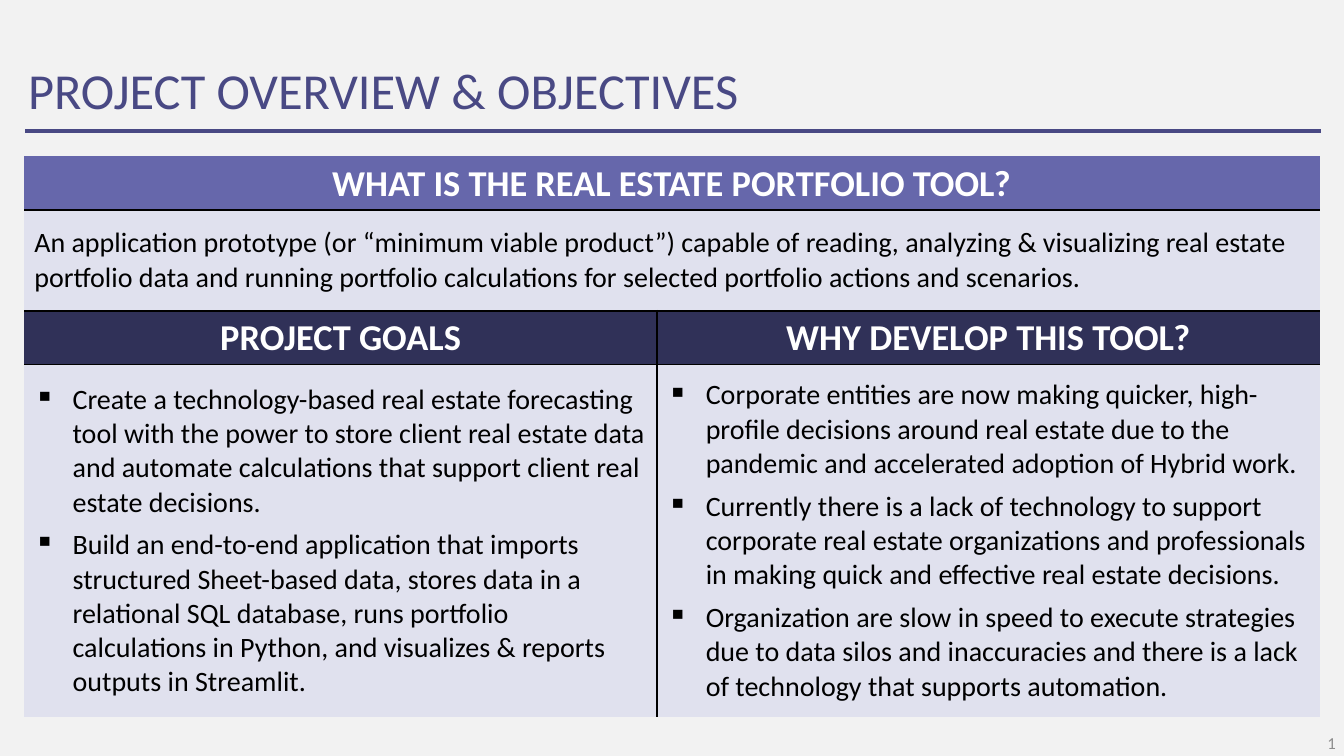
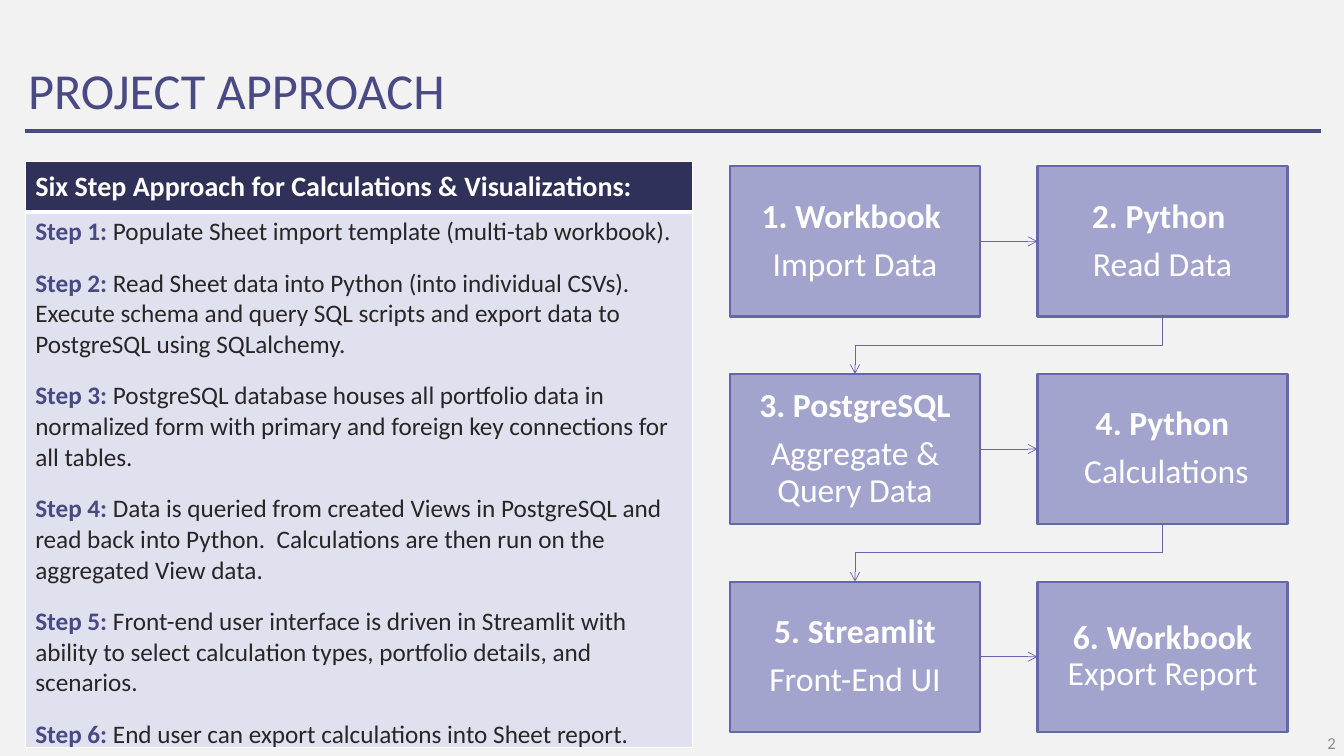
from dataclasses import dataclass

from lxml import etree
from pptx import Presentation
from pptx.dml.color import RGBColor
from pptx.enum.shapes import MSO_CONNECTOR, MSO_SHAPE
from pptx.enum.text import MSO_ANCHOR, PP_ALIGN
from pptx.oxml.ns import qn
from pptx.util import Inches, Pt

STRAIGHT, ELBOW = MSO_CONNECTOR.STRAIGHT, MSO_CONNECTOR.ELBOW
RECT = MSO_SHAPE.RECTANGLE
MIDDLE, TOP = MSO_ANCHOR.MIDDLE, MSO_ANCHOR.TOP
LEFT, CENTER, RIGHT = PP_ALIGN.LEFT, PP_ALIGN.CENTER, PP_ALIGN.RIGHT
SIDE_TOP, SIDE_LEFT, SIDE_BOTTOM, SIDE_RIGHT = range(4)


@dataclass(frozen=True)
class Look:
    size: int
    color: str
    bold: bool = False


@dataclass(frozen=True)
class Theme:
    font: str = "Calibri"
    back: str = "F2F2F2"
    ink: str = "494984"
    mid: str = "6667AB"
    dark: str = "303158"
    soft: str = "A3A4CD"
    pale: str = "E0E1EE"
    black: str = "000000"
    white: str = "FFFFFF"
    title: Look = Look(36, "494984")
    page: Look = Look(12, "8C8C8C")
    head: Look = Look(26, "FFFFFF", True)
    body: Look = Look(20, "000000")
    lead: Look = Look(20, "FFFFFF", True)
    step: Look = Look(18, "494984", True)
    note: Look = Look(18, "262626")
    name: Look = Look(24, "FFFFFF", True)
    work: Look = Look(24, "FFFFFF")


THEME = Theme()

ABOUT = (
    "An application prototype (or “minimum viable product”) capable of reading, "
    "analyzing & visualizing real estate portfolio data and running portfolio "
    "calculations for selected portfolio actions and scenarios."
)
GOALS = [
    "Create a technology-based real estate forecasting tool with the power to store "
    "client real estate data and automate calculations that support client real "
    "estate decisions.",
    "Build an end-to-end application that imports structured Sheet-based data, stores "
    "data in a relational SQL database, runs portfolio calculations in Python, and "
    "visualizes & reports outputs in Streamlit.",
]
REASONS = [
    "Corporate entities are now making quicker, high-profile decisions around real "
    "estate due to the pandemic and accelerated adoption of Hybrid work.",
    "Currently there is a lack of technology to support corporate real estate "
    "organizations and professionals in making quick and effective real estate "
    "decisions.",
    "Organization are slow in speed to execute strategies due to data silos and "
    "inaccuracies and there is a lack of technology that supports automation.",
]
STEPS = [
    "Populate Sheet import template (multi-tab workbook).",
    "Read Sheet data into Python (into individual CSVs). Execute schema and query SQL "
    "scripts and export data to PostgreSQL using SQLalchemy.",
    "PostgreSQL database houses all portfolio data in normalized form with primary "
    "and foreign key connections for all tables.",
    "Data is queried from created Views in PostgreSQL and read back into Python.  "
    "Calculations are then run on the aggregated View data.",
    "Front-end user interface is driven in Streamlit with ability to select "
    "calculation types, portfolio details, and scenarios.",
    "End user can export calculations into Sheet report.",
]
STAGES = [
    [("1. Workbook ",), ("Import Data",)],
    [("2. Python ",), ("Read Data",)],
    [("3. PostgreSQL",), ("Aggregate & Query Data",)],
    [("4. Python",), (" Calculations",)],
    [("5. Streamlit",), ("Front-End UI",)],
    [("6. Workbook ", "Export Report")],
]


def rgb(color):
    return RGBColor.from_string(color)


def paint(run, look):
    font = run.font
    font.name, font.size, font.bold = THEME.font, Pt(look.size), look.bold
    font.color.rgb = rgb(look.color)


def write(frame, lines, looks, align=LEFT):
    """Each line is a tuple of runs; looks holds one look per run."""
    frame.text = "\n".join(line[0] for line in lines)
    for para, line in zip(frame.paragraphs, lines):
        para.alignment = align
        for more in line[1:]:
            para.add_run().text = more
        for run, look in zip(para.runs, looks):
            paint(run, look)


def label(slide, box, text, look, align=LEFT, pad=0.1):
    frame = slide.shapes.add_textbox(*map(Inches, box)).text_frame
    frame.word_wrap = True
    frame.vertical_anchor = MIDDLE
    frame.margin_left = frame.margin_right = Inches(pad)
    frame.margin_top = frame.margin_bottom = 0
    write(frame, [(text,)], [look], align)
    return frame


def stroke(line, color, width):
    line.line.color.rgb = rgb(color)
    line.line.width = Pt(width)
    etree.SubElement(line._element.spPr, qn("a:effectLst"))


def base(deck, title, page):
    """Blank slide with title, rule and page number."""
    slide = deck.slides.add_slide(deck.slide_layouts[6])
    frame = label(slide, (0.18, 0.52, 10.79, 0.77), title, THEME.title)
    frame.paragraphs[0].line_spacing = Pt(40)
    ends = map(Inches, (0.25, 1.3, 13.1, 1.3))
    stroke(slide.shapes.add_connector(STRAIGHT, *ends), THEME.ink, 2.25)
    label(slide, (10.25, 7.24, 3, 0.26), str(page), THEME.page, RIGHT, 0)
    return slide


def edge(cell, **sides):
    """Draw the given sides (L, R, T, B) as (colour, width); hide the others."""
    props = cell._tc.get_or_add_tcPr()
    for side in "LRTB":
        line = etree.SubElement(props, qn("a:ln" + side))
        if side not in sides:
            etree.SubElement(line, qn("a:noFill"))
            continue
        color, width = sides[side]
        line.set("w", str(Pt(width)))
        solid = etree.SubElement(line, qn("a:solidFill"))
        etree.SubElement(solid, qn("a:srgbClr")).set("val", color)


def dress(cell, fill, anchor=MIDDLE, **sides):
    edge(cell, **sides)
    cell.fill.solid()
    cell.fill.fore_color.rgb = rgb(fill)
    cell.vertical_anchor = anchor


def bullet(para):
    para.space_before = Pt(6)
    props = para._p.get_or_add_pPr()
    props.set("marL", str(Inches(0.38)))
    props.set("indent", str(Inches(-0.38)))
    etree.SubElement(props, qn("a:buChar")).set("char", "▪")


def grid(slide, left, top, cols, rows):
    frame = slide.shapes.add_table(
        len(rows), len(cols), *map(Inches, (left, top, sum(cols), sum(rows)))
    )
    table = frame.table
    for col, width in zip(table.columns, cols):
        col.width = Inches(width)
    for row, height in zip(table.rows, rows):
        row.height = Inches(height)
    return table


def goals(slide, left, top):
    table = grid(slide, left, top, (6.28, 6.57), (0.53, 1, 0.53, 3.5))
    rule = (THEME.black, 1.5)
    wide = [
        ("WHAT IS THE REAL ESTATE PORTFOLIO TOOL?", THEME.head, CENTER, THEME.mid, {}),
        (ABOUT, THEME.body, LEFT, THEME.pale, {"T": rule}),
    ]
    for row, (text, look, align, fill, sides) in enumerate(wide):
        cell = table.cell(row, 0)
        cell.merge(table.cell(row, 1))
        write(cell.text_frame, [(text,)], [look], align)
        for part in (cell, table.cell(row, 1)):
            dress(part, fill, B=rule, **sides)
    halves = [("PROJECT GOALS", GOALS, "R"), ("WHY DEVELOP THIS TOOL?", REASONS, "L")]
    for col, (name, items, inner) in enumerate(halves):
        sides = {"T": rule, inner: rule}
        head, body = table.cell(2, col), table.cell(3, col)
        write(head.text_frame, [(name,)], [THEME.head], CENTER)
        dress(head, THEME.dark, B=rule, **sides)
        write(body.text_frame, [(item,) for item in items], [THEME.body])
        for para in body.text_frame.paragraphs:
            bullet(para)
        dress(body, THEME.pale, **sides)


def steps(slide, left, top):
    table = grid(slide, left, top, (6.62,), (0.5, 5.2))
    head, body = table.cell(0, 0), table.cell(1, 0)
    thin, thick = (THEME.white, 1), (THEME.white, 3)
    title = "Six Step Approach for Calculations & Visualizations:"
    write(head.text_frame, [(title,)], [THEME.lead])
    dress(head, THEME.dark, L=thin, R=thin, T=thin, B=thick)
    lines = [(f"Step {num}: ", text) for num, text in enumerate(STEPS, 1)]
    write(body.text_frame, lines, (THEME.step, THEME.note))
    for para in body.text_frame.paragraphs[1:]:
        para.space_before = Pt(14.65)
    dress(body, THEME.pale, TOP, L=thin, R=thin, T=thick, B=thin)


def stage(slide, box, lines):
    shape = slide.shapes.add_shape(RECT, *map(Inches, box))
    shape.shadow.inherit = False
    shape.fill.solid()
    shape.fill.fore_color.rgb = rgb(THEME.soft)
    shape.line.color.rgb = rgb(THEME.mid)
    shape.line.width = Pt(1.5)
    frame = shape.text_frame
    frame.word_wrap = True
    frame.vertical_anchor = MIDDLE
    frame.margin_left = frame.margin_right = Inches(0.19)
    frame.margin_top = frame.margin_bottom = Inches(0.19)
    write(frame, lines, (THEME.name, THEME.work), CENTER)
    for para in frame.paragraphs:
        para.line_spacing = 0.9
        para.space_after = Pt(8.4)
    for para in frame.paragraphs[1:]:
        paint(para.runs[0], THEME.work)
    return shape


def turn(link):
    """Turn an elbow so that it leaves downwards and arrives downwards."""
    wide, high = link.width, link.height
    mid_x, mid_y = link.left + wide // 2, link.top + high // 2
    link.left, link.top = mid_x - high // 2, mid_y - wide // 2
    link.width, link.height = high, wide
    form = link._element.spPr.find(qn("a:xfrm"))
    form.attrib.pop("flipH", None)
    form.set("rot", "5400000")


def join(slide, start, end, kind, out, into):
    link = slide.shapes.add_connector(kind, 0, 0, 0, 0)
    link.begin_connect(start, out)
    link.end_connect(end, into)
    if kind == ELBOW:
        turn(link)
    stroke(link, THEME.mid, 0.5)
    etree.SubElement(link.line._get_or_add_ln(), qn("a:tailEnd")).set("type", "arrow")


def flow(slide, left, top):
    wide, high, step_x, step_y = 2.48, 1.49, 3.05, 2.06
    boxes = []
    for num, lines in enumerate(STAGES):
        row, col = divmod(num, 2)
        box = (left + col * step_x, top + row * step_y, wide, high)
        boxes.append(stage(slide, box, lines))
    for num, (start, end) in enumerate(zip(boxes, boxes[1:])):
        if num % 2:
            join(slide, start, end, ELBOW, SIDE_BOTTOM, SIDE_TOP)
        else:
            join(slide, start, end, STRAIGHT, SIDE_RIGHT, SIDE_LEFT)


def main():
    deck = Presentation()
    deck.slide_width, deck.slide_height = Inches(13.33), Inches(7.5)
    back = deck.slide_master.background.fill
    back.solid()
    back.fore_color.rgb = rgb(THEME.back)

    goals(base(deck, "PROJECT OVERVIEW & OBJECTIVES", 1), 0.24, 1.55)
    plan = base(deck, "PROJECT APPROACH", 2)
    steps(plan, 0.25, 1.6)
    flow(plan, 7.24, 1.65)
    deck.save("out.pptx")


if __name__ == "__main__":
    main()
